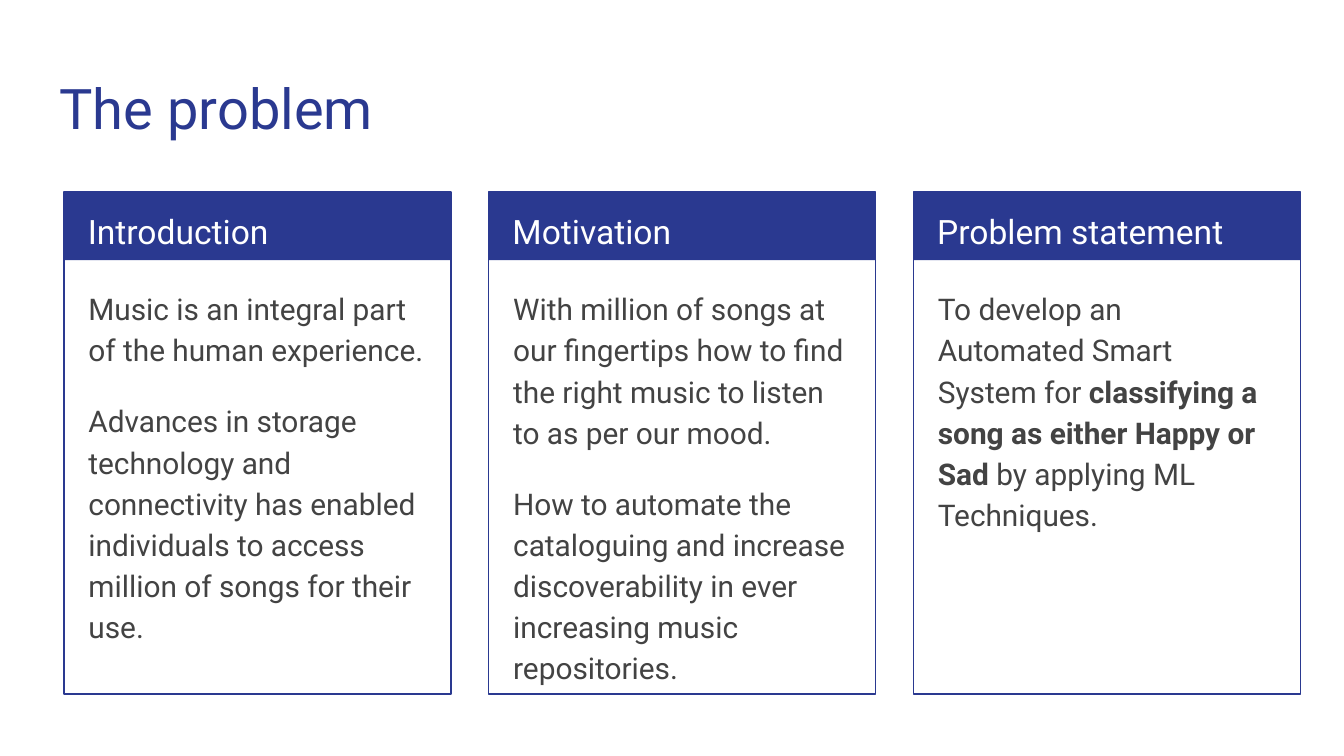
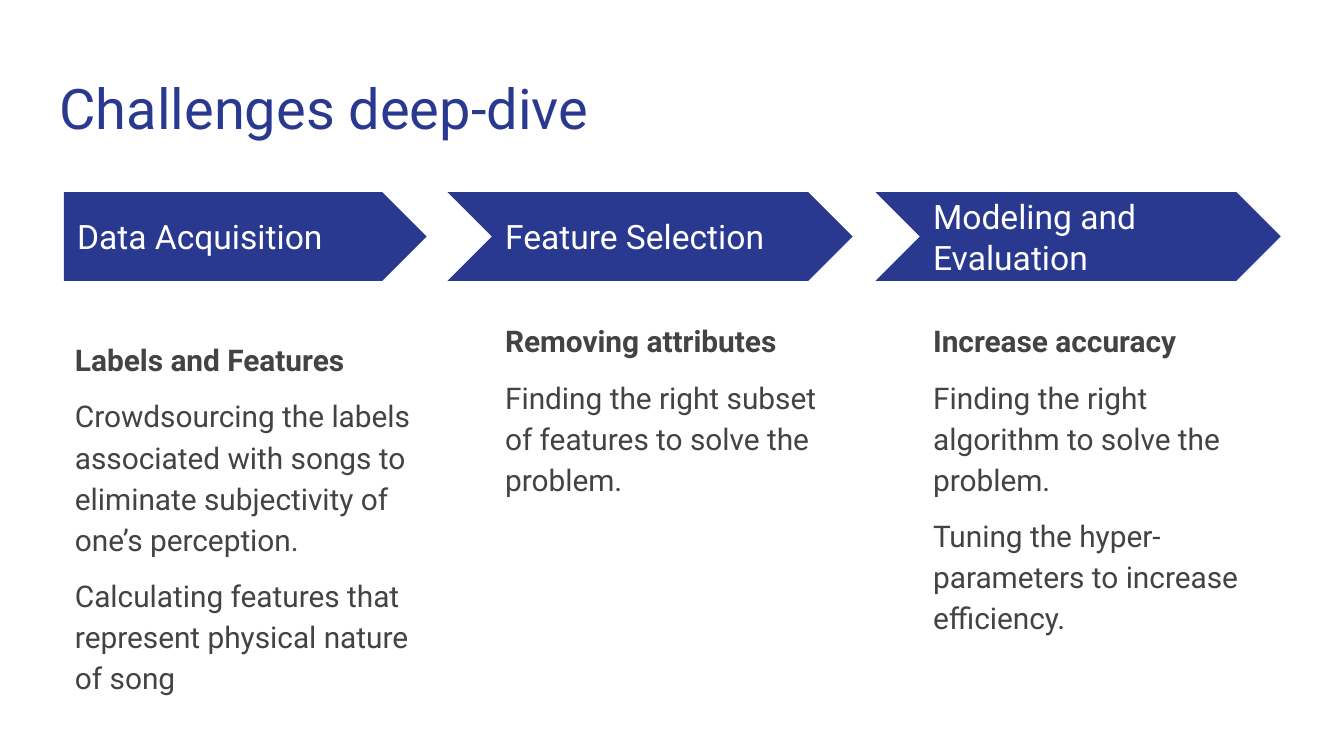
from dataclasses import dataclass

import pptx
import pptx.dml.color
import pptx.enum.shapes
import pptx.enum.text
import pptx.util

PX = 4572  # EMU per px, 200 px to the inch
SHAPE = pptx.enum.shapes.MSO_SHAPE
ANCHOR = pptx.enum.text.MSO_ANCHOR


def rgb(value):
    return pptx.dml.color.RGBColor.from_string(value)


@dataclass(frozen=True)
class Theme:
    font: str = "Roboto"
    accent: str = "2A3990"
    body: str = "434343"
    light: str = "FFFFFF"
    title_size: int = 30
    head_size: int = 18
    body_size: int = 16
    body_leading: float = 1.15
    outline: float = 0.75


THEME = Theme()
BAND_TOP = 286
LEFT = 95
CARD_PITCH = 632
STAGE_PITCH = 637

# A paragraph is a list of (text, bold) runs
CARDS = [
    ("Introduction", [
        [("Music is an integral part of the human experience.", False)],
        [("Advances in storage technology and connectivity has enabled "
          "individuals to access million of songs for their use.", False)],
    ]),
    ("Motivation", [
        [("With million of songs at our fingertips how to find the right music "
          "to listen to as per our mood.", False)],
        [("How to automate the cataloguing and increase discoverability in ever "
          "increasing music repositories.", False)],
    ]),
    ("Problem statement", [
        [("To develop an Automated Smart System for ", False),
         ("classifying a song as either Happy or Sad", True),
         (" by applying ML Techniques.", False)],
    ]),
]

# Stage label, left shift and top of its notes, notes
STAGES = [
    ("Data Acquisition", -3, 481, [
        [("Labels and Features", True)],
        [("Crowdsourcing the labels associated with songs to eliminate "
          "subjectivity of one’s perception.", False)],
        [("Calculating features that represent physical nature of song", False)],
    ]),
    ("Feature Selection", 0, 453, [
        [("Removing attributes", True)],
        [("Finding the right subset of features to solve the problem.", False)],
    ]),
    ("Modeling and Evaluation", 0, 453, [
        [("Increase accuracy", True)],
        [("Finding the right algorithm to solve the problem.", False)],
        [("Tuning the hyper-parameters to increase efficiency.", False)],
    ]),
]


def box(x, y, w, h):
    return [v * PX for v in (x, y, w, h)]


def add_text(slide, bounds, paragraphs, *, size=THEME.body_size,
             color=THEME.body, leading=THEME.body_leading, gap=0,
             anchor=ANCHOR.TOP):
    """Text box; paragraphs is a string or a list of run lists."""
    if isinstance(paragraphs, str):
        paragraphs = [[(paragraphs, False)]]
    tf = slide.shapes.add_textbox(*box(*bounds)).text_frame
    tf.word_wrap = True
    tf.vertical_anchor = anchor
    tf.margin_left = tf.margin_right = 20 * PX
    tf.margin_top = tf.margin_bottom = 20 * PX
    for i, runs in enumerate(paragraphs):
        p = tf.paragraphs[0] if i == 0 else tf.add_paragraph()
        p.line_spacing = leading
        p.space_before = pptx.util.Pt(gap if i else 0)
        for text, bold in runs:
            r = p.add_run()
            r.text = text
            r.font.name = THEME.font
            r.font.size = pptx.util.Pt(size)
            r.font.bold = bold
            r.font.color.rgb = rgb(color)


def add_block(slide, kind, bounds, *, fill=None, line=None):
    sp = slide.shapes.add_shape(kind, *box(*bounds))
    sp.shadow.inherit = False
    if fill:
        sp.fill.solid()
        sp.fill.fore_color.rgb = rgb(fill)
    else:
        sp.fill.background()
    if line:
        sp.line.color.rgb = rgb(line)
        sp.line.width = pptx.util.Pt(THEME.outline)
    else:
        sp.line.fill.background()
    return sp


def add_titled_slide(prs, title):
    slide = prs.slides.add_slide(prs.slide_layouts[6])
    add_text(slide, (69, 90, 1864, 132), title, size=THEME.title_size,
             color=THEME.accent, leading=1.0)
    return slide


def add_card(slide, x, heading, paragraphs):
    add_block(slide, SHAPE.RECTANGLE, (x, BAND_TOP, 576, 101), fill=THEME.accent)
    add_block(slide, SHAPE.RECTANGLE, (x, BAND_TOP, 576, 747), line=THEME.accent)
    add_text(slide, (x + 16, BAND_TOP - 1, 546, 100), heading,
             size=THEME.head_size, color=THEME.light)
    add_text(slide, (x + 17, 405, 542, 612), paragraphs, gap=16)


def add_stage(slide, x, label, notes_shift, notes_top, notes, first):
    # Later stages start further left, to make room for the notch
    if first:
        kind, bounds = SHAPE.PENTAGON, (x, BAND_TOP, 540, 132)
    else:
        kind, bounds = SHAPE.CHEVRON, (x - 66, BAND_TOP, 603, 132)
    sp = add_block(slide, kind, bounds, fill=THEME.accent)
    sp.adjustments[0] = 0.5
    add_text(slide, (x, 318, 494, 68), label, size=THEME.head_size,
             color=THEME.light, leading=1.0, anchor=ANCHOR.MIDDLE)
    add_text(slide, (x + notes_shift, notes_top, 540, 580), notes, gap=8)


def main():
    prs = pptx.Presentation()
    prs.slide_width = 2000 * PX
    prs.slide_height = 1125 * PX

    # Three cards
    slide = add_titled_slide(prs, "The problem")
    for i, card in enumerate(CARDS):
        add_card(slide, LEFT + CARD_PITCH * i, *card)

    # Three-stage process
    slide = add_titled_slide(prs, "Challenges deep-dive")
    for i, stage in enumerate(STAGES):
        add_stage(slide, LEFT + STAGE_PITCH * i, *stage, first=i == 0)

    prs.save("out.pptx")


if __name__ == "__main__":
    main()
